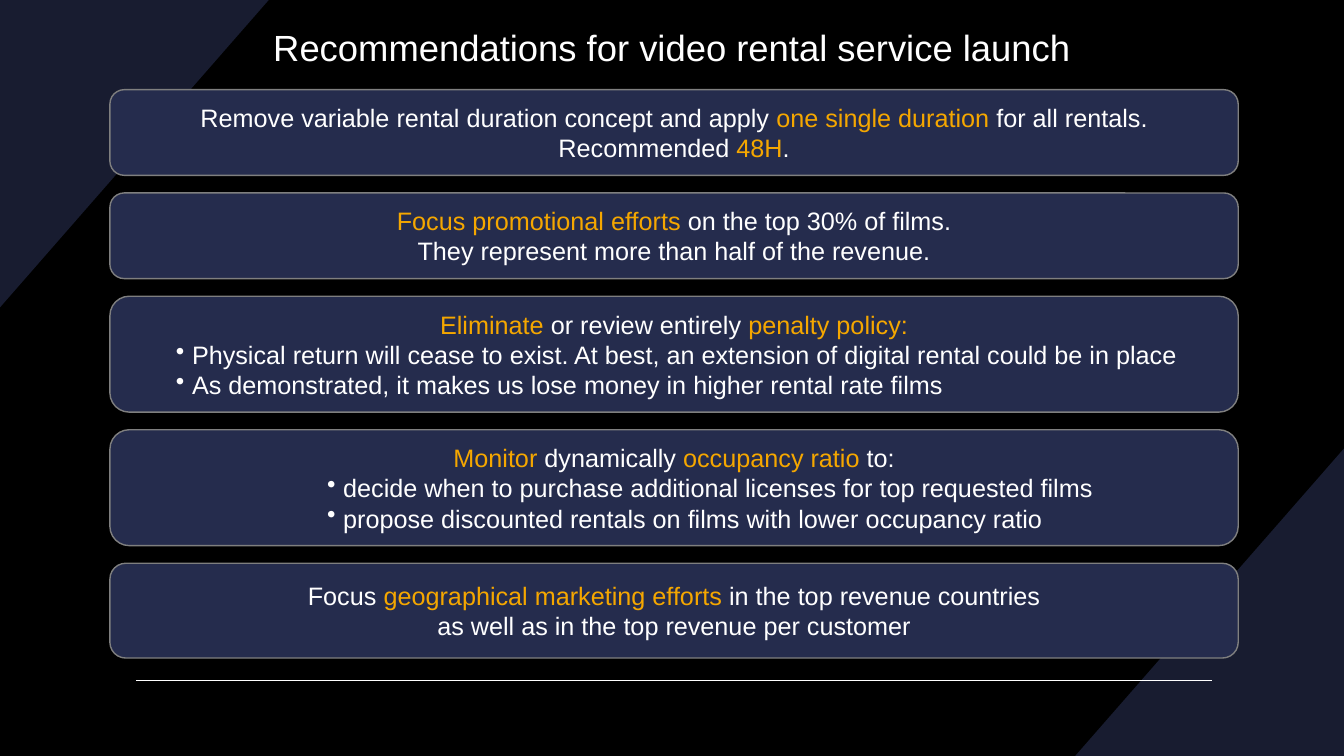
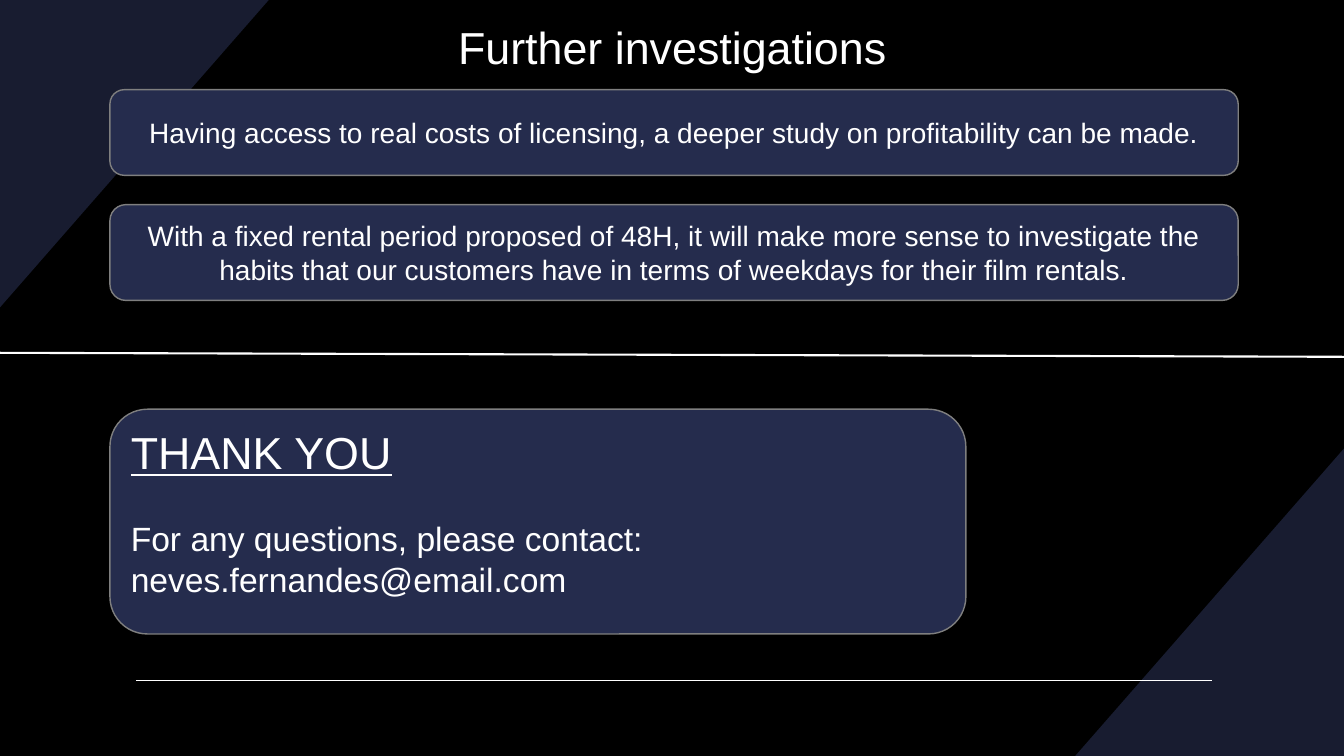
"""Build the recommendations slide and the closing slide of a video rental study."""
import pptx
import pptx.util
import pptx.dml.color
import pptx.enum.shapes
import pptx.enum.text
import pptx.oxml.ns
import lxml.etree

COLORS = {"back": "000000", "corner": "181C30", "card": "252C4D",
          "edge": "7F7F7F", "text": "FFFFFF", "accent": "F5A700"}
RGB = {k: pptx.dml.color.RGBColor.from_string(v) for k, v in COLORS.items()}
Pt = pptx.util.Pt
SHAPE = pptx.enum.shapes.MSO_SHAPE
ALIGN = pptx.enum.text.PP_ALIGN
ANCHOR = pptx.enum.text.MSO_ANCHOR
qn = pptx.oxml.ns.qn

prs = pptx.Presentation()
prs.slide_width = pptx.util.Inches(13.33)
prs.slide_height = pptx.util.Inches(7.5)
COL, ROW = prs.slide_width / 100, prs.slide_height / 100
LEFT, TOP, WIDTH = 8.18, 11.87, 83.95
CORNER_COLS, CORNER_ROWS = 20, 40.67
HANG = 1.2

bg = prs.slide_master.background.fill
bg.solid()
bg.fore_color.rgb = RGB["back"]


def write_lines(sp, lines, size, bullet=None, align=ALIGN.CENTER, anchor=ANCHOR.MIDDLE):
    """Write lines, with *accented* parts and later lines bulleted if asked."""
    tf = sp.text_frame
    for k, v in {"word_wrap": True, "vertical_anchor": anchor}.items():
        setattr(tf, k, v)
    for i, line in enumerate(lines):
        p = tf.paragraphs[0] if i == 0 else tf.add_paragraph()
        p.alignment = align
        if bullet and i:
            p.alignment = ALIGN.LEFT
            pPr = p._p.get_or_add_pPr()
            pPr.set("marL", str(round((bullet + HANG) * COL)))
            pPr.set("indent", str(round(-HANG * COL)))
            lxml.etree.SubElement(pPr, qn("a:buChar")).set("char", "•")
        for j, part in enumerate(line.split("*")):
            if part:
                r = p.add_run()
                r.text = part
                for k, v in {"name": "Arial", "size": Pt(size)}.items():
                    setattr(r.font, k, v)
                r.font.color.rgb = RGB["accent" if j % 2 else "text"]
    return tf


def add_box(s, kind, x, y, w, h):
    """Add a card, or a white line whose w and h are its run and its fall."""
    x, y, w, h = round(x * COL), round(y * ROW), round(w * COL), round(h * ROW)
    if kind == "line":
        sp = s.shapes.add_connector(pptx.enum.shapes.MSO_CONNECTOR.STRAIGHT, x, y, x + w, y + h)
        sp.line.color.rgb = RGB["text"]
        sp.line.width = Pt(1)
        lxml.etree.SubElement(sp._element.spPr, qn("a:effectLst"))
        return sp
    sp = s.shapes.add_shape(SHAPE.ROUNDED_RECTANGLE, x, y, w, h)
    sp.shadow.inherit = False
    sp.fill.solid()
    sp.fill.fore_color.rgb = RGB["card"]
    sp.line.color.rgb = RGB["edge"]
    sp.line.width = Pt(1)
    return sp


SLIDES = [
    {"title": "Recommendations for video rental service launch",
     "title_size": 26, "size": 18, "gap": 2.33,
     "cards": [
         (11.33, None, ["Remove variable rental duration concept and apply *one single duration* for all rentals.",
                        "Recommended* 48H*."]),
         (11.33, None, ["*Focus promotional efforts* on the top 30% of films.",
                        "They represent more than half of the revenue."]),
         (15.33, 3.75, ["*Eliminate *or review entirely* penalty policy:*",
                        "Physical return will cease to exist. At best, an extension of digital rental could be in place",
                        "As demonstrated, it makes us lose money in higher rental rate films"]),
         (15.33, 15, ["*Monitor* dynamically *occupancy ratio* to:",
                      "decide when to purchase additional licenses for top requested films",
                      "propose discounted rentals on films with lower occupancy ratio"]),
         (12.53, None, ["Focus *geographical marketing efforts* in the top revenue countries",
                        "as well as in the top revenue per customer"]),
     ]},
    {"title": "Further investigations", "title_size": 32, "size": 20, "gap": 3.87,
     "cards": [
         (11.33, None, ["Having access to real costs of licensing, a deeper study on profitability can be made."]),
         (12.67, None, ["With a fixed rental period proposed of 48H, it will make more sense to investigate the "
                        "habits that our customers have in terms of weekdays for their film rentals."]),
     ]},
]

for page in SLIDES:
    s = prs.slides.add_slide(prs.slide_layouts[6])
    for x, y, side in ((100, 100, -1), (0, 0, 1)):
        fb = s.shapes.build_freeform(round(x * COL), round(y * ROW))
        fb.add_line_segments([
            (round((x + side * CORNER_COLS) * COL), round(y * ROW)),
            (round(x * COL), round((y + side * CORNER_ROWS) * ROW))])
        sp = fb.convert_to_shape()
        sp.shadow.inherit = False
        sp.fill.solid()
        sp.fill.fore_color.rgb = RGB["corner"]
        sp.line.fill.background()
    add_box(s, "line", 10.13, 90, 80.04, 0)

    title = s.shapes.add_textbox(round(16.5 * COL), round(2.93 * ROW), round(67.07 * COL), round(6.53 * ROW))
    write_lines(title, [page["title"]], page["title_size"])

    y = TOP
    for h, bullet, lines in page["cards"]:
        write_lines(add_box(s, "card", LEFT, y, WIDTH, h), lines, page["size"], bullet)
        y += h + page["gap"]

contact = add_box(s, "card", LEFT, 54.13, 63.69, 29.73)
tf = write_lines(contact, ["THANK YOU", "For any questions, please contact: neves.fernandes@email.com"],
                 24, align=ALIGN.LEFT, anchor=ANCHOR.TOP)
for k, v in {"size": Pt(32), "underline": True}.items():
    setattr(tf.paragraphs[0].runs[0].font, k, v)
tf.paragraphs[1].space_before = Pt(28)

divider = add_box(s, "line", 0, 46.67, 100, 0.53)
divider.line.width = Pt(1.5)

prs.save("out.pptx")
